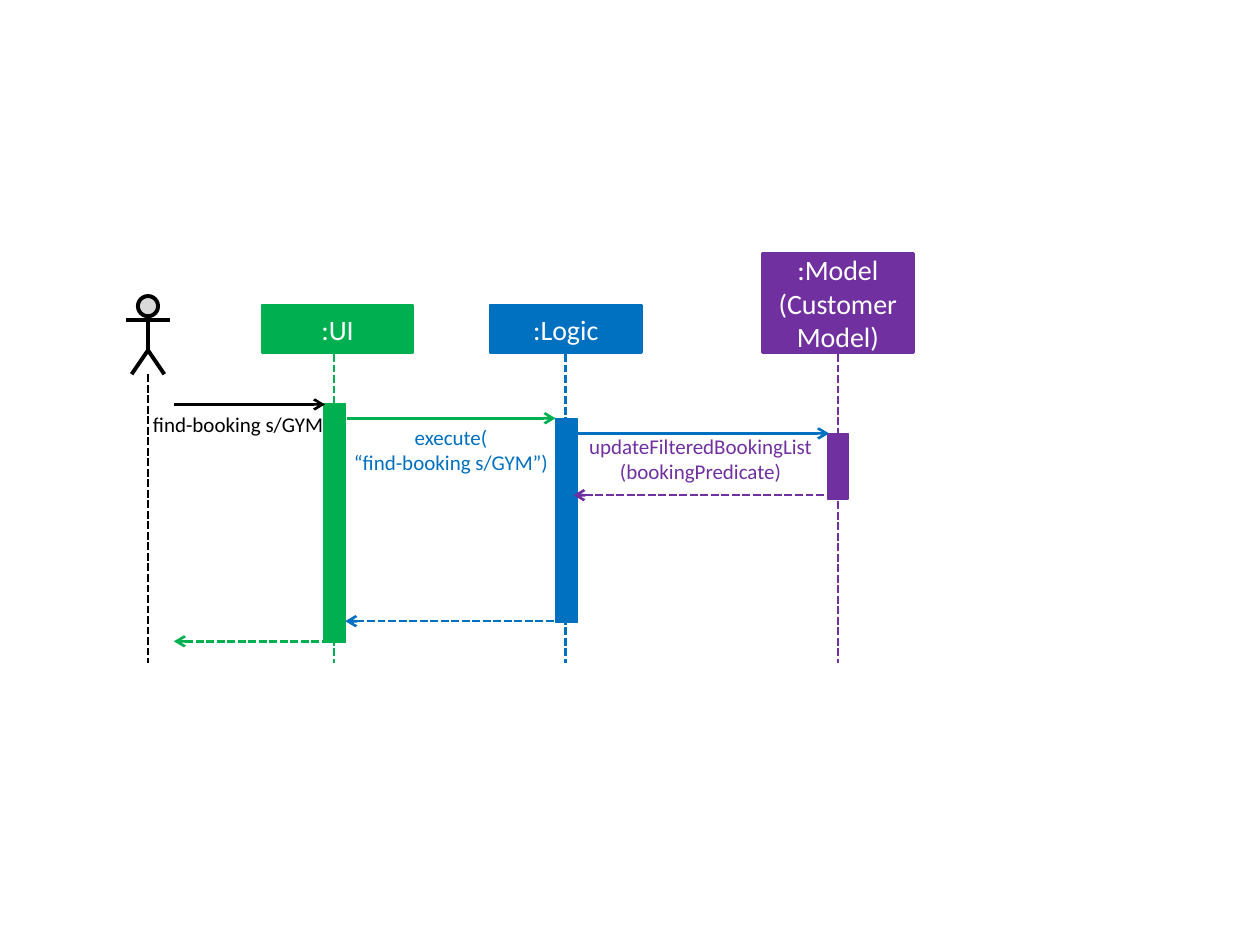
from dataclasses import dataclass

from pptx import Presentation
from pptx.dml.color import RGBColor
from pptx.enum.dml import MSO_LINE
from pptx.enum.shapes import MSO_CONNECTOR, MSO_SHAPE
from pptx.enum.text import MSO_ANCHOR, MSO_AUTO_SIZE, PP_ALIGN
from pptx.oxml.ns import qn
from pptx.util import Inches, Pt
from lxml.etree import SubElement


@dataclass(frozen=True)
class Theme:
    """Colours, font and sizes of the diagram."""
    user: str = "000000"
    ui: str = "00B050"
    logic: str = "0070C0"
    model: str = "7030A0"
    skin: str = "D9D9D9"
    white: str = "FFFFFF"
    font: str = "Calibri"
    title_size: int = 16
    label_size: int = 12
    thin: float = 0.75
    normal: float = 1.5
    thick: float = 2.25


THEME = Theme()
LIFELINE_END = 5.26


def set_values(target, values):
    """Set each attribute named in a dict."""
    for name, value in values.items():
        setattr(target, name, value)


def style_line(line, colour, width):
    """Give an outline its colour and width."""
    line.color.rgb = RGBColor.from_string(colour)
    line.width = Pt(width)


def add_line(shapes, start, end, colour, width=THEME.normal, dashed=False, arrow=None):
    """Draw a straight line, with an arrowhead at headEnd or tailEnd if named."""
    points = [Inches(value) for value in (*start, *end)]
    connector = shapes.add_connector(MSO_CONNECTOR.STRAIGHT, *points)
    style_line(connector.line, colour, width)
    if dashed:
        connector.line.dash_style = MSO_LINE.SQUARE_DOT
    if arrow:
        SubElement(connector.line._get_or_add_ln(), qn(f"a:{arrow}"), type="arrow")
    SubElement(connector._element.spPr, qn("a:effectLst"))


def add_block(shapes, kind, box, fill, outline, width):
    """Draw a filled preset shape."""
    block = shapes.add_shape(kind, *(Inches(value) for value in box))
    block.shadow.inherit = False
    block.fill.solid()
    block.fill.fore_color.rgb = RGBColor.from_string(fill)
    style_line(block.line, outline, width)
    return block


def write_lines(frame, lines, size, colour):
    """Write centred paragraphs into a text frame."""
    for index, line in enumerate(lines):
        para = frame.add_paragraph() if index else frame.paragraphs[0]
        para.alignment = PP_ALIGN.CENTER
        span = para.add_run()
        span.text = line
        set_values(span.font, {"name": THEME.font, "size": Pt(size)})
        span.font.color.rgb = RGBColor.from_string(colour)


def add_label(page, box, lines, colour):
    """Place the caption of a message."""
    label = page.shapes.add_textbox(*(Inches(value) for value in box))
    set_values(label.text_frame, {
        "word_wrap": True, "auto_size": MSO_AUTO_SIZE.SHAPE_TO_FIT_TEXT,
        "margin_left": 0, "margin_right": 0, "margin_top": 0, "margin_bottom": 0,
    })
    write_lines(label.text_frame, lines, THEME.label_size, colour)


def add_participant(page, box, lines, colour, activation):
    """Place a title box, its lifeline and its activation bar."""
    left, top, width, height = box
    title = add_block(page.shapes, MSO_SHAPE.RECTANGLE, box, colour, colour, THEME.normal)
    set_values(title.text_frame, {"word_wrap": True, "vertical_anchor": MSO_ANCHOR.MIDDLE})
    write_lines(title.text_frame, lines, THEME.title_size, THEME.white)
    centre = left + width / 2
    if colour == THEME.ui:
        centre -= 0.03
    add_line(page.shapes, (centre, top + height + 0.01), (centre, LIFELINE_END), colour, dashed=True)
    bar_top, bar_width, bar_height = activation
    bar = (centre - 0.08, bar_top, bar_width, bar_height)
    add_block(page.shapes, MSO_SHAPE.RECTANGLE, bar, colour, colour, THEME.thin)


def add_actor(page, box):
    """Place the stick figure and its lifeline."""
    left, top, width, height = box
    centre, bottom = left + width / 2, top + height
    hip = bottom - 0.19
    figure = page.shapes.add_group_shape().shapes
    head = (centre - 0.08, top, 0.16, 0.16)
    add_block(figure, MSO_SHAPE.FLOWCHART_CONNECTOR, head, THEME.skin, THEME.user, THEME.thick)
    add_line(figure, (centre, top + 0.15), (centre, hip), THEME.user, THEME.thick)
    feet = [(Inches(centre + step), Inches(bottom)) for step in (-0.13, 0.13)]
    builder = figure.build_freeform(*feet[0])
    builder.add_line_segments([(Inches(centre), Inches(hip)), feet[1]], close=False)
    legs = builder.convert_to_shape()
    legs.shadow.inherit = False
    legs.fill.background()
    style_line(legs.line, THEME.user, THEME.thick)
    add_line(figure, (left, top + 0.19), (left + width, top + 0.19), THEME.user, THEME.thick)
    add_line(page.shapes, (centre, bottom), (centre, LIFELINE_END), THEME.user, dashed=True)


def add_messages(page):
    """Place calls, their captions and the dashed returns."""
    calls = [
        (1.38, 2.58, 3.21, THEME.user), (2.75, 4.41, 3.32, THEME.ui),
        (4.57, 6.58, 3.44, THEME.logic),
    ]
    returns = [
        (4.55, 6.58, 3.93, THEME.model), (2.74, 4.41, 4.93, THEME.logic),
        (1.38, 2.57, 5.09, THEME.ui),
    ]
    labels = [
        ((1.06, 3.27, 1.66, 0.2), ["find-booking s/GYM"], THEME.user),
        ((2.73, 3.37, 1.7, 0.4), ["execute(", "“find-booking s/GYM”)"], THEME.logic),
        ((4.65, 3.44, 1.82, 0.4), ["updateFilteredBookingList", "(bookingPredicate)"], THEME.model),
    ]
    for left, right, height, colour in calls:
        add_line(page.shapes, (left, height), (right, height), colour, arrow="tailEnd")
    for left, right, height, colour in returns:
        add_line(page.shapes, (left, height), (right, height), colour, dashed=True, arrow="headEnd")
    for box, lines, colour in labels:
        add_label(page, box, lines, colour)


def main():
    """Build the sequence diagram and save it."""
    deck = Presentation()
    set_values(deck, {"slide_width": Inches(10), "slide_height": Inches(7.5)})
    page = deck.slides.add_slide(deck.slide_layouts[6])
    participants = [
        ((2.08, 2.42, 1.2, 0.38), [":UI"], THEME.ui, (3.2, 0.17, 1.9)),
        ((3.89, 2.42, 1.2, 0.38), [":Logic"], THEME.logic, (3.32, 0.17, 1.62)),
        ((6.05, 2.01, 1.2, 0.79), [":Model", "(Customer", "Model)"], THEME.model, (3.44, 0.16, 0.52)),
    ]
    for box, lines, colour, activation in participants:
        add_participant(page, box, lines, colour, activation)
    add_actor(page, (1, 2.35, 0.35, 0.62))
    add_messages(page)
    deck.save("out.pptx")


if __name__ == "__main__":
    main()
